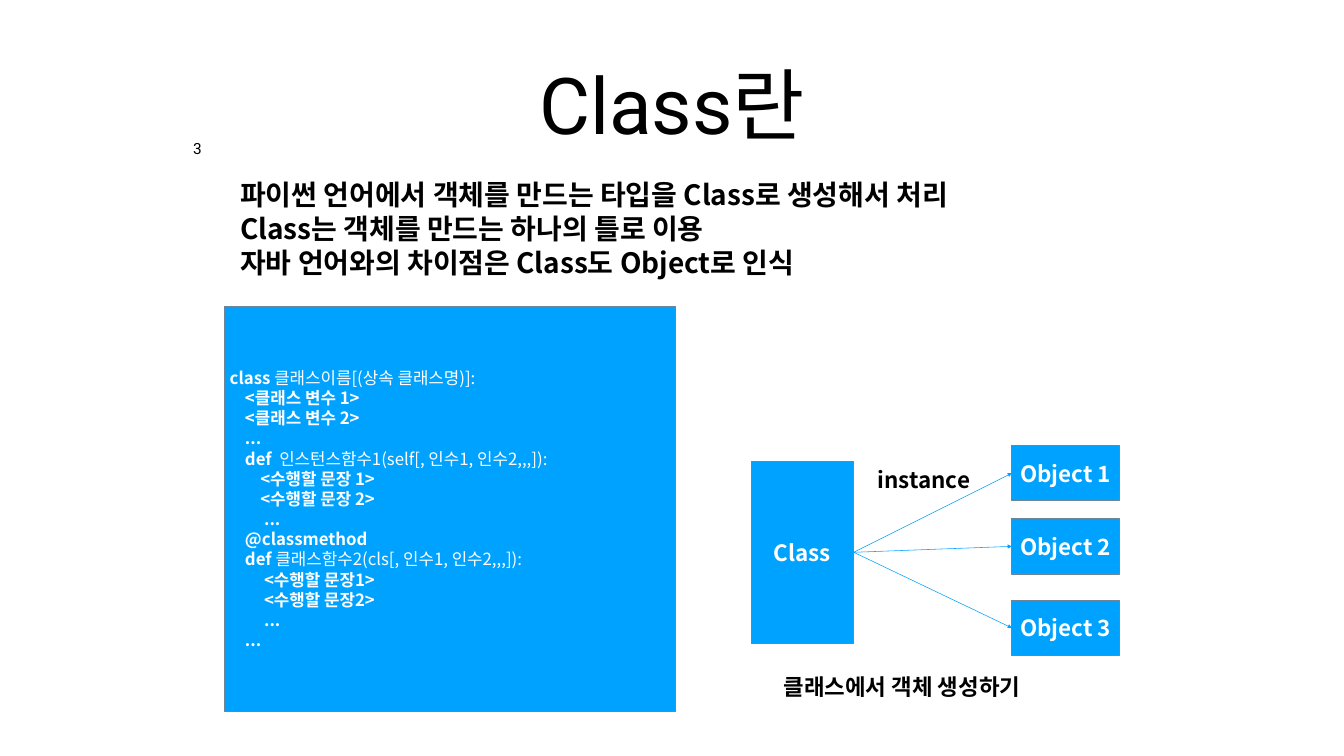
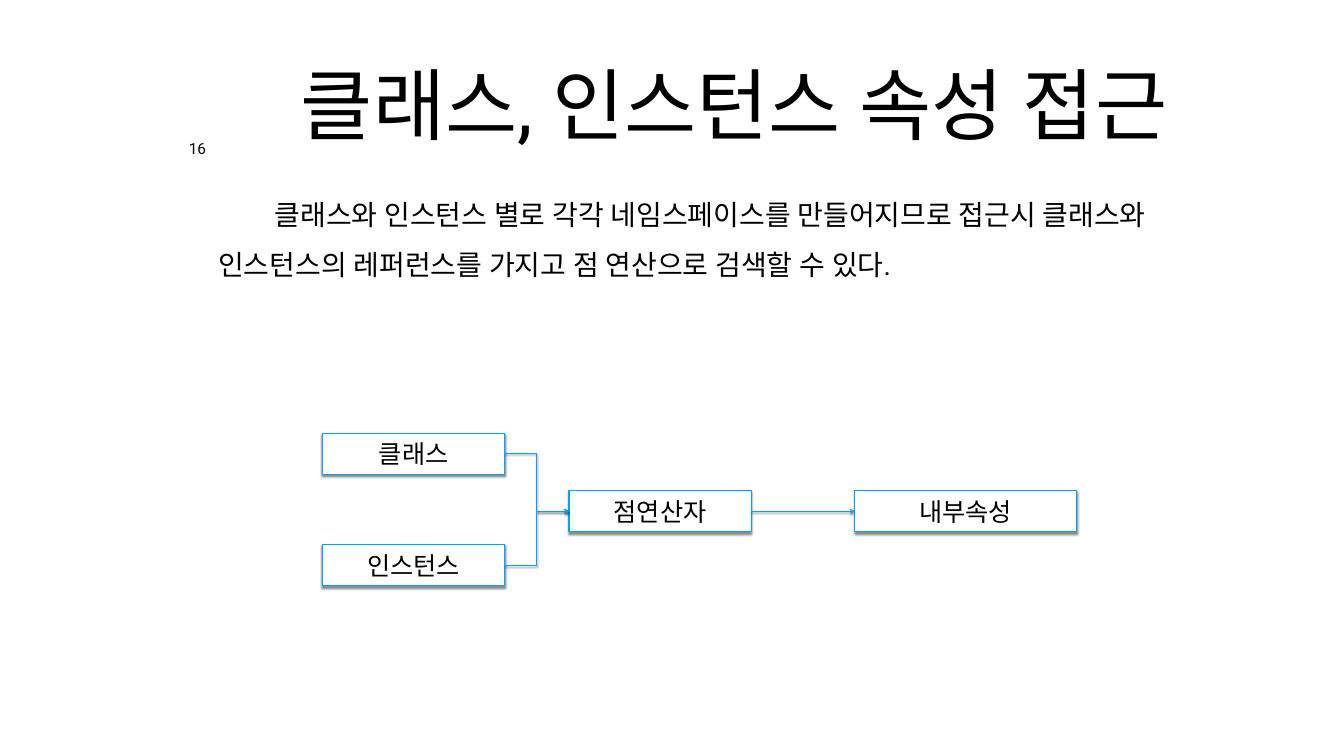
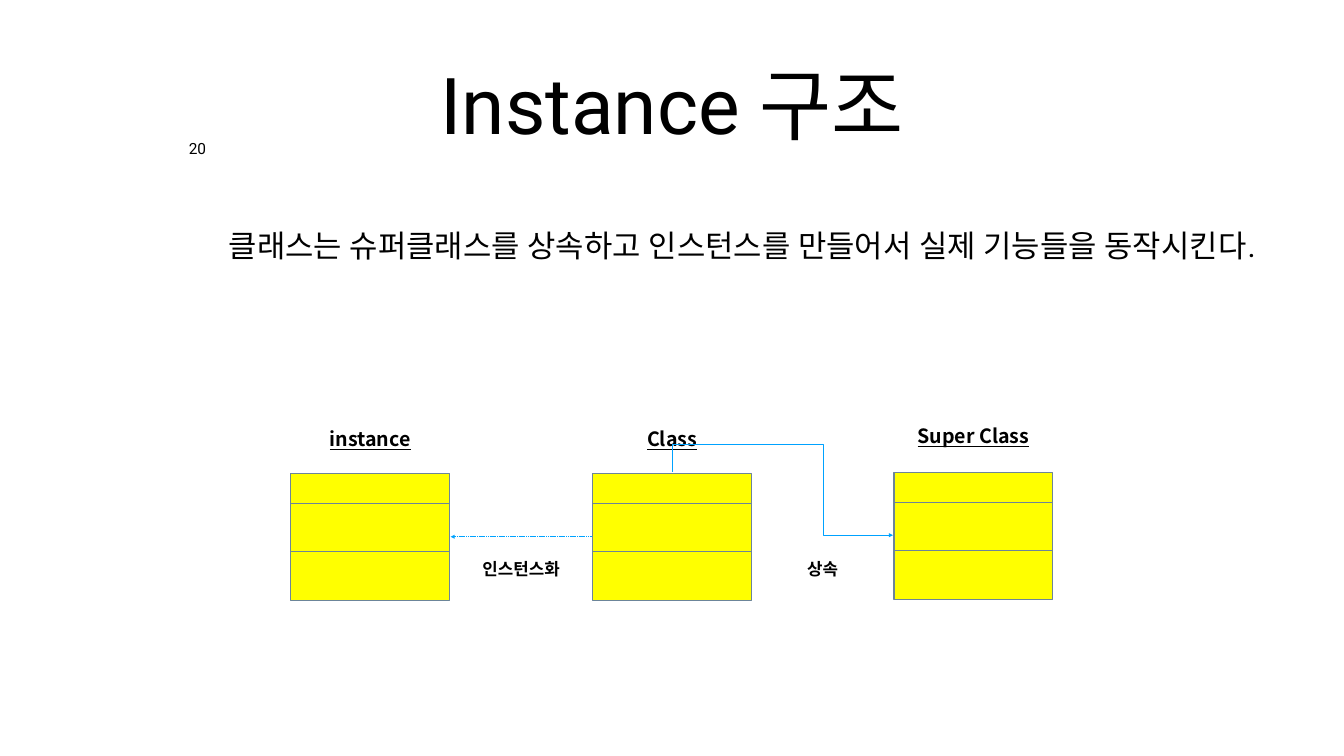
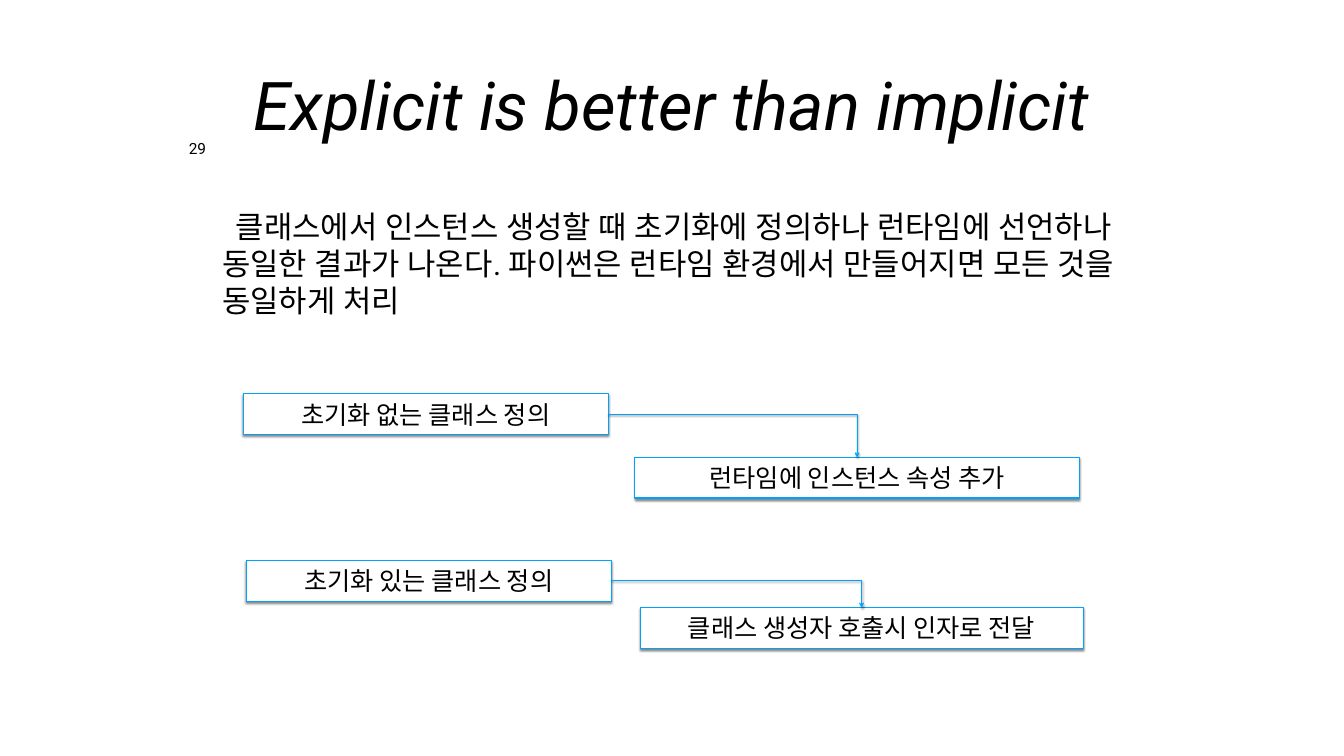
from lxml.etree import SubElement
from pptx import Presentation
from pptx.dml.color import RGBColor
from pptx.enum.dml import MSO_LINE
from pptx.enum.shapes import MSO_CONNECTOR, MSO_SHAPE
from pptx.enum.text import MSO_ANCHOR, MSO_AUTO_SIZE, PP_ALIGN
from pptx.oxml.ns import qn
from pptx.util import Cm, Pt

COLORS = {"text": "000000", "paper": "FFFFFF", "blue": "00A2FF", "edge": "6C8599", "yellow": "FFFF00"}
RGB = {name: RGBColor.from_string(value) for name, value in COLORS.items()}
KR, LATIN = "Noto Sans CJK KR", "Roboto"
CENTER = {"alignment": PP_ALIGN.CENTER}
TIGHT = {f"margin_{side}": Cm(0.2) for side in ("left", "top", "right", "bottom")}
BOX = {f"margin_{side}": Cm(0.25) for side in ("left", "top", "right", "bottom")}
MIDDLE = {"vertical_anchor": MSO_ANCHOR.MIDDLE}


def write(tf, lines, size, frame={}, para={}, color="text", name=KR, bold=False, italic=False, underline=False):
    for key, value in {"word_wrap": True, "auto_size": MSO_AUTO_SIZE.NONE, **frame}.items():
        setattr(tf, key, value)
    for i, parts in enumerate(lines):
        p = tf.add_paragraph() if i else tf.paragraphs[0]
        for key, value in para.items():
            setattr(p, key, value)
        for j, text in enumerate((parts,) if isinstance(parts, str) else parts):
            r = p.add_run()
            r.text = text
            font = {"size": Pt(size), "name": name, "bold": bold and j == 0,
                    "italic": italic, "underline": underline}
            for key, value in font.items():
                setattr(r.font, key, value)
            r.font.color.rgb = RGB[color]
            SubElement(r._r.get_or_add_rPr(), qn("a:ea"), typeface=name)


def outline(sp, color, width, shadow=False, arrow=None):
    sp.line.color.rgb = RGB[color]
    sp.line.width = Pt(width)
    spPr = sp._element.spPr
    if arrow:
        SubElement(spPr.find(qn("a:ln")), qn("a:tailEnd"), type=arrow)
    effects = SubElement(spPr, qn("a:effectLst"))
    if shadow:
        outer = SubElement(effects, qn("a:outerShdw"), blurRad=str(Pt(3)), dist=str(Pt(2.4)),
                           dir="5400000", rotWithShape="0")
        tint = SubElement(outer, qn("a:srgbClr"), val=COLORS["text"])
        SubElement(tint, qn("a:alpha"), val="45000")


prs = Presentation()
prs.slide_width, prs.slide_height = Cm(67.74), Cm(38.1)

pages = [
    {"title": "Class란", "number": "3"},
    {"title": "클래스, 인스턴스 속성 접근", "number": "16", "title_width": 49.63,
     "body": "클래스와 인스턴스 별로 각각 네임스페이스를 만들어지므로 접근시 클래스와 인스턴스의 레퍼런스를 가지고 점 연산으로 검색할 수 있다.",
     "at": (11, 8.89, 51.77, 9.75), "size": 40, "indent": 2.85,
     "frame": {"margin_left": 0, "vertical_anchor": MSO_ANCHOR.TOP}, "spacing": 1.5},
    {"title": "Instance 구조", "number": "20",
     "body": "클래스는 슈퍼클래스를 상속하고 인스턴스를 만들어서 실제 기능들을 동작시킨다.",
     "at": (11, 9.04, 55.58, 6.6), "size": 44, "indent": 0.33},
    {"title": "Explicit is better than implicit", "number": "29", "title_size": 96, "italic": True,
     "body": "클래스에서 인스턴스 생성할 때 초기화에 정의하나 런타임에 선언하나 동일한 결과가 나온다. 파이썬은 런타임 환경에서 만들어지면 모든 것을 동일하게 처리",
     "at": (11, 9.04, 45.72, 8.41), "size": 44, "indent": 0.68},
]
slides = []
for page in pages:
    s = prs.slides.add_slide(prs.slide_layouts[1 if "body" in page else 5])
    slides.append(s)
    title = s.shapes.title
    title.left, title.top, title.width, title.height = Cm(12.19), Cm(0.99), Cm(page.get("title_width", 43.36)), Cm(8.43)
    write(title.text_frame, [page["title"]], page.get("title_size", 112), {**TIGHT, **MIDDLE}, CENTER,
          name=LATIN, italic=page.get("italic", False))
    if "body" in page:
        body = s.placeholders[1]
        body.left, body.top, body.width, body.height = [Cm(v) for v in page["at"]]
        pPr = body.text_frame.paragraphs[0]._p.get_or_add_pPr()
        pPr.set("marL", "0")
        pPr.set("indent", str(Cm(page["indent"])))
        SubElement(pPr, qn("a:buNone"))
        write(body.text_frame, [page["body"]], page["size"], {**TIGHT, **MIDDLE, **page.get("frame", {})},
              {"space_before": Pt(0), "line_spacing": page.get("spacing", 1.0)}, name=LATIN)
    number = s.shapes.add_textbox(Cm(9.32), Cm(6.99), Cm(1.27), Cm(1.14))
    write(number.text_frame, [page["number"]], 22, {**TIGHT, "word_wrap": False},
          {**CENTER, "line_spacing": 0.8}, name=LATIN)
class_s, access_s, structure_s, explicit_s = slides

intro = class_s.shapes.add_textbox(Cm(11.86), Cm(8.84), Cm(52.68), Cm(5.38))
write(intro.text_frame, [
    "파이썬 언어에서 객체를 만드는 타입을 Class로 생성해서 처리",
    "Class는 객체를 만드는 하나의 틀로 이용",
    "자바 언어와의 차이점은 Class도 Object로 인식",
], 40, bold=True)

code = [
    ("class ", "클래스이름[(상속 클래스명)]:"),
    "    <클래스 변수 1>",
    "    <클래스 변수 2>",
    "    ...",
    ("    def", "  인스턴스함수1(self[, 인수1, 인수2,,,]):"),
    "        <수행할 문장 1>",
    "        <수행할 문장 2>",
    "         ...",
    "    @classmethod",
    ("    def", " 클래스함수2(cls[, 인수1, 인수2,,,]):"),
    "         <수행할 문장1>",
    "         <수행할 문장2>",
    "         ...",
    "    ...",
]
blocks = []
for lines, x, y, w, h, size, align in [
    (["Class"], 37.87, 23.24, 5.16, 9.19, 32, PP_ALIGN.CENTER),
    (["Object 1"], 51, 22.45, 5.41, 2.79, 32, PP_ALIGN.CENTER),
    (["Object 2"], 51, 26.14, 5.41, 2.79, 32, PP_ALIGN.CENTER),
    (["Object 3"], 51, 30.25, 5.41, 2.79, 32, PP_ALIGN.CENTER),
    (code, 11.33, 15.44, 22.73, 20.4, 24, PP_ALIGN.LEFT),
]:
    sp = class_s.shapes.add_shape(MSO_SHAPE.RECTANGLE, Cm(x), Cm(y), Cm(w), Cm(h))
    sp.fill.solid()
    sp.fill.fore_color.rgb = RGB["blue"]
    outline(sp, "edge", 1.5)
    write(sp.text_frame, lines, size, {**BOX, **MIDDLE}, {"alignment": align}, "paper", bold=True)
    blocks.append(sp)
for target in blocks[1:4]:
    cxn = class_s.shapes.add_connector(MSO_CONNECTOR.STRAIGHT, 0, 0, 0, 0)
    cxn.begin_connect(blocks[0], 3)
    cxn.end_connect(target, 1)
    outline(cxn, "blue", 0.79, arrow="triangle")

for s, text, x, y, w, h, size, underline in [
    (class_s, "instance", 43.35, 23.36, 6.43, 1.88, 32, False),
    (class_s, "클래스에서 객체 생성하기", 37.47, 33.81, 16, 1.63, 32, False),
    (structure_s, "instance", 14.66, 21.39, 8, 1.45, 28, True),
    (structure_s, "Class", 29.87, 21.39, 8, 1.45, 28, True),
    (structure_s, "Super Class", 45.06, 21.23, 8, 1.45, 28, True),
    (structure_s, "인스턴스화", 23.47, 28.02, 5.59, 1.27, 24, False),
    (structure_s, "상속", 39.06, 28.02, 4.8, 1.27, 24, False),
]:
    label = s.shapes.add_textbox(Cm(x), Cm(y), Cm(w), Cm(h))
    write(label.text_frame, [text], size, para=CENTER, bold=True, underline=underline)

flows = [
    (access_s,
     [("클래스", 16.26, 21.84, 9.19), ("인스턴스", 16.26, 27.46, 9.19),
      ("점연산자", 28.68, 24.74, 9.19), ("내부속성", 43.08, 24.74, 11.2)],
     [(0, 2, 1, "bentConnector3"), (1, 2, 1, "bentConnector3"), (2, 3, 1, "line")]),
    (explicit_s,
     [("초기화 없는 클래스 정의", 12.27, 19.84, 18.39), ("런타임에 인스턴스 속성 추가", 32, 23.04, 22.4),
      ("초기화 있는 클래스 정의", 12.42, 28.24, 18.39), ("클래스 생성자 호출시 인자로 전달", 32.26, 30.61, 22.33)],
     [(0, 1, 0, "bentConnector2"), (2, 3, 0, "bentConnector2")]),
]
for s, steps, links in flows:
    boxes = []
    for text, x, y, w in steps:
        sp = s.shapes.add_shape(MSO_SHAPE.RECTANGLE, Cm(x), Cm(y), Cm(w), Cm(2.06))
        sp.fill.solid()
        sp.fill.fore_color.rgb = RGB["paper"]
        outline(sp, "blue", 1.5, shadow=True)
        write(sp.text_frame, [text], 36, {**BOX, **MIDDLE}, CENTER)
        boxes.append(sp)
    for start, end, side, preset in links:
        kind = MSO_CONNECTOR.STRAIGHT if preset == "line" else MSO_CONNECTOR.ELBOW
        cxn = s.shapes.add_connector(kind, 0, 0, 0, 0)
        cxn.begin_connect(boxes[start], 3)
        cxn.end_connect(boxes[end], side)
        cxn._element.spPr.find(qn("a:prstGeom")).set("prst", preset)
        outline(cxn, "blue", 1.5, shadow=True, arrow="arrow")

for x, top in [(14.66, 23.85), (29.87, 23.85), (45.06, 23.8)]:
    y = top
    for h in (1.52, 2.44, 2.44):
        sp = structure_s.shapes.add_shape(MSO_SHAPE.RECTANGLE, Cm(x), Cm(y), Cm(8), Cm(h))
        sp.fill.solid()
        sp.fill.fore_color.rgb = RGB["yellow"]
        outline(sp, "edge", 1.5)
        y += h

points = [(33.86, 23.77), (33.86, 22.38), (41.48, 22.38), (41.48, 26.97), (45.01, 26.97)]
points = [(Cm(x), Cm(y)) for x, y in points]
fb = structure_s.shapes.build_freeform(*points[0])
fb.add_line_segments(points[1:], close=False)
inherit = fb.convert_to_shape()
inherit.fill.background()
outline(inherit, "blue", 0.79, arrow="triangle")

instantiate = structure_s.shapes.add_connector(MSO_CONNECTOR.STRAIGHT, Cm(29.82), Cm(27.05), Cm(22.71), Cm(27.05))
outline(instantiate, "blue", 0.79, arrow="triangle")
instantiate.line.dash_style = MSO_LINE.SQUARE_DOT

prs.save("out.pptx")
